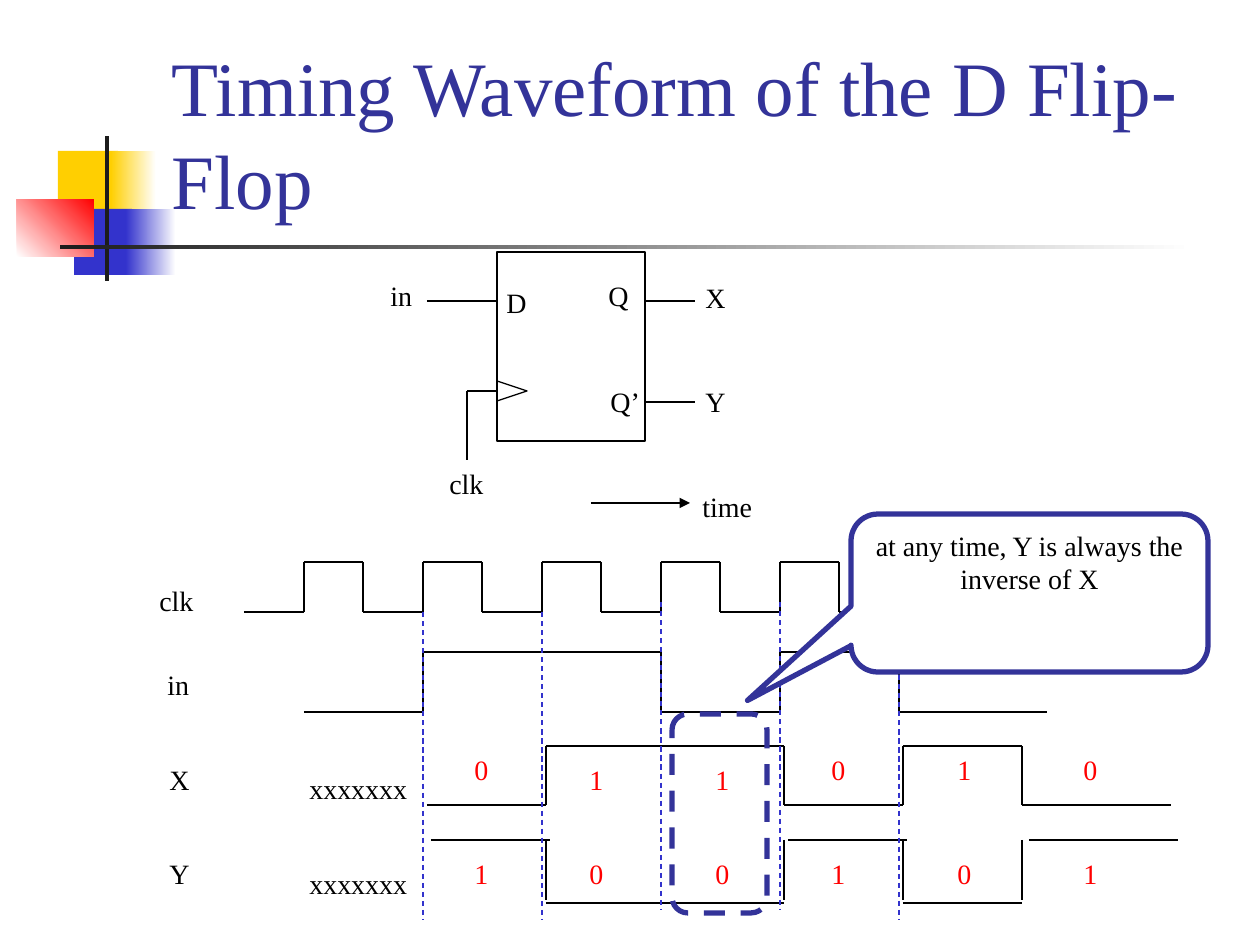
from dataclasses import dataclass
from itertools import pairwise

from lxml.etree import SubElement
from pptx import Presentation
from pptx.dml.color import RGBColor
from pptx.enum.dml import MSO_LINE
from pptx.enum.shapes import MSO_CONNECTOR, MSO_SHAPE
from pptx.enum.text import MSO_ANCHOR, MSO_AUTO_SIZE, PP_ALIGN
from pptx.oxml.ns import qn
from pptx.util import Emu, Pt

PERIOD = 119
FIRST_RISE = 304


@dataclass(frozen=True)
class Theme:
    """Colours, font and sizes of the slide."""
    font: str = "Times New Roman"
    title_size: int = 44
    body_size: int = 16
    thin: float = 0.75
    thick: float = 3
    ink: str = "000000"
    accent: str = "333399"
    marker: str = "3333CC"
    bit: str = "FF0000"
    yellow: str = "FFCF01"
    charcoal: str = "1C1C1C"
    paper: str = "FFFFFF"


THEME = Theme()


def px(value):
    """Turn picture pixels into EMU."""
    return Emu(round(value * 914400 / 126))


def style_font(paragraph, size, color):
    """Set the font of a whole paragraph."""
    paragraph.font.name = THEME.font
    paragraph.font.size = Pt(size)
    paragraph.font.color.rgb = RGBColor.from_string(color)


def style_line(line, color, width, dashed=False):
    """Set colour, width and dash of an outline."""
    line.color.rgb = RGBColor.from_string(color)
    line.width = Pt(width)
    if dashed:
        line.dash_style = MSO_LINE.DASH


def add_shape(slide, kind, box, fill=None, outline=None, width=THEME.thin, dashed=False):
    """Add a preset shape with an optional solid fill and outline."""
    shape = slide.shapes.add_shape(kind, *map(px, box))
    shape.shadow.inherit = False
    if fill:
        shape.fill.solid()
        shape.fill.fore_color.rgb = RGBColor.from_string(fill)
    else:
        shape.fill.background()
    if outline:
        style_line(shape.line, outline, width, dashed)
    else:
        shape.line.fill.background()
    return shape


def add_fade(slide, box, start, end, angle=0):
    """Add a borderless rectangle with a two-colour gradient."""
    shape = add_shape(slide, MSO_SHAPE.RECTANGLE, box)
    shape.fill.gradient()
    shape.fill.gradient_angle = angle
    for stop, color in zip(shape.fill.gradient_stops, (start, end)):
        stop.color.rgb = RGBColor.from_string(color)


def add_line(slide, start, end, color=THEME.ink, dashed=False, arrow=False):
    """Add a thin straight connector."""
    connector = slide.shapes.add_connector(MSO_CONNECTOR.STRAIGHT, *map(px, (*start, *end)))
    style_line(connector.line, color, THEME.thin, dashed)
    properties = connector._element.spPr
    if arrow:
        SubElement(properties.find(qn("a:ln")), qn("a:tailEnd"), type="triangle")
    SubElement(properties, qn("a:effectLst"))


def add_path(slide, points):
    """Join successive points with connectors."""
    for start, end in pairwise(points):
        add_line(slide, start, end)


def add_wave(slide, start, edges, end, low, high):
    """Draw a signal that starts low and toggles at each edge."""
    points, level = [(start, low)], low
    for edge in edges:
        points.append((edge, level))
        level = high if level == low else low
        points.append((edge, level))
    add_path(slide, [*points, (end, level)])


def add_label(slide, text, left, top, width, color=THEME.ink):
    """Add a one-line text label."""
    frame = slide.shapes.add_textbox(*map(px, (left, top, width, 47))).text_frame
    frame.word_wrap = False
    frame.auto_size = MSO_AUTO_SIZE.SHAPE_TO_FIT_TEXT
    frame.text = text
    style_font(frame.paragraphs[0], THEME.body_size, color)


def add_decoration(slide):
    """Draw the coloured blocks and rules beside the title."""
    add_shape(slide, MSO_SHAPE.RECTANGLE, (58, 151, 60, 66), THEME.yellow)
    add_fade(slide, (111, 151, 45, 66), THEME.yellow, THEME.paper)
    add_shape(slide, MSO_SHAPE.RECTANGLE, (74, 209, 58, 66), THEME.marker)
    add_fade(slide, (126, 209, 50, 66), THEME.marker, THEME.paper)
    add_fade(slide, (17, 199, 77, 58), THEME.paper, THEME.bit, 45)
    add_shape(slide, MSO_SHAPE.RECTANGLE, (105, 136, 4, 145), THEME.charcoal)
    add_fade(slide, (60, 245, 1134, 4), THEME.charcoal, THEME.paper)


def place_title(slide, text):
    """Position and format the title in front of the decoration."""
    title = slide.shapes.title
    title.left, title.top, title.width, title.height = map(px, (159, 29, 1073, 202))
    frame = title.text_frame
    frame.text = text
    frame.word_wrap = True
    frame.auto_size = MSO_AUTO_SIZE.NONE
    frame.vertical_anchor = MSO_ANCHOR.BOTTOM
    frame.paragraphs[0].alignment = PP_ALIGN.LEFT
    style_font(frame.paragraphs[0], THEME.title_size, THEME.accent)
    title._element.getparent().append(title._element)


def add_flip_flop(slide):
    """Draw the flip-flop symbol with its pins."""
    add_shape(slide, MSO_SHAPE.RECTANGLE, (497, 252, 148, 189), outline=THEME.ink)
    clock_pin = add_shape(slide, MSO_SHAPE.ISOSCELES_TRIANGLE, (502, 376, 20, 30),
                          outline=THEME.ink)
    clock_pin.rotation = 90
    add_path(slide, [(427, 301), (497, 301)])
    add_path(slide, [(497, 391), (467, 391), (467, 460)])
    for pin_y in (301, 402):
        add_line(slide, (645, pin_y), (695, pin_y))
    for label in (("D", 494, 279, 45), ("Q", 596, 272, 45), ("Q’", 598, 378, 55),
                  ("in", 378, 272, 48), ("X", 693, 274, 45), ("Y", 693, 378, 45),
                  ("clk", 437, 460, 59)):
        add_label(slide, *label)


def add_timing(slide):
    """Draw the four signals, their names and the clock-edge markers."""
    rises = [FIRST_RISE + PERIOD * cycle for cycle in range(6)]
    clock_edges = [edge for rise in rises for edge in (rise, rise + 59)]
    add_wave(slide, 244, clock_edges, 1047, 612, 562)
    add_wave(slide, FIRST_RISE, [rises[k] for k in (1, 3, 4, 5)], 1047, 712, 652)
    x_edges = [427 + PERIOD * cycle for cycle in (1, 3, 4, 5)]
    add_wave(slide, 427, x_edges, 1171, 805, 746)

    for edge in x_edges:
        add_line(slide, (edge, 840), (edge, 900))
    for start, end in ((431, 550), (788, 907), (1029, 1178)):
        add_line(slide, (start, 840), (end, 840))
    for start, end in (x_edges[:2], x_edges[2:]):
        add_line(slide, (start, 903), (end, 903))

    for rise, top in zip(rises[1:], (612, 612, 602, 602, 612)):
        add_line(slide, (rise, top), (rise, top + 308), THEME.marker, dashed=True)
    add_line(slide, (591, 503), (690, 503), arrow=True)
    for label in (("time", 690, 483, 76), ("clk", 147, 577, 59), ("in", 155, 661, 48),
                  ("X", 157, 756, 45), ("Y", 157, 850, 45),
                  ("xxxxxxx", 297, 765, 123), ("xxxxxxx", 297, 860, 123)):
        add_label(slide, *label)


def add_bits(slide):
    """Write the X and Y value of each cycle."""
    columns = (462, 577, 703, 819, 945, 1071)
    x_tops = (746, 756, 756, 746, 746, 746)
    for left, top, x_bit, y_bit in zip(columns, x_tops, "011010", "100101"):
        add_label(slide, x_bit, left, top, 39, THEME.bit)
        add_label(slide, y_bit, left, 850, 39, THEME.bit)


def add_remark(slide, text):
    """Frame one cycle and explain it in a callout."""
    add_shape(slide, MSO_SHAPE.ROUNDED_RECTANGLE, (672, 714, 95, 199),
              outline=THEME.accent, width=THEME.thick, dashed=True)
    callout = add_shape(slide, MSO_SHAPE.ROUNDED_RECTANGULAR_CALLOUT, (851, 514, 357, 158),
                        THEME.paper, THEME.accent, THEME.thick)
    for index, value in enumerate((-0.79, 0.68, 0.17)):
        callout.adjustments[index] = value
    frame = callout.text_frame
    frame.word_wrap = True
    frame.vertical_anchor = MSO_ANCHOR.TOP
    frame.text = text
    frame.paragraphs[0].alignment = PP_ALIGN.CENTER
    style_font(frame.paragraphs[0], THEME.body_size, THEME.ink)


def main():
    """Build the slide and save it."""
    presentation = Presentation()
    presentation.slide_width, presentation.slide_height = px(1260), px(945)
    slide = presentation.slides.add_slide(presentation.slide_layouts[5])
    add_decoration(slide)
    place_title(slide, "Timing Waveform of the D Flip-Flop")
    add_timing(slide)
    add_flip_flop(slide)
    add_bits(slide)
    add_remark(slide, "at any time, Y is always the inverse of X")
    presentation.save("out.pptx")


main()
